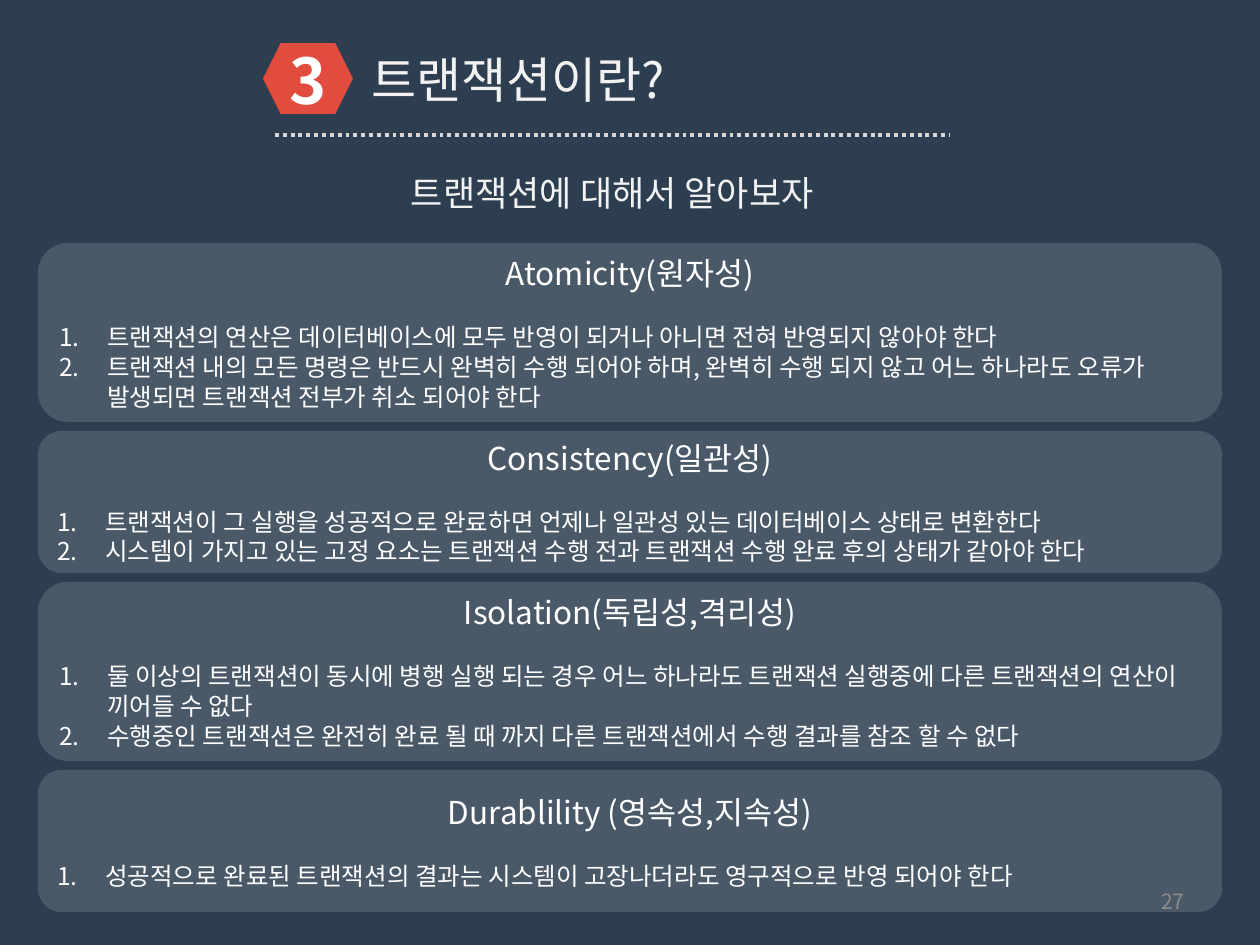
from dataclasses import dataclass
from typing import Any

from lxml.etree import SubElement
from pptx import Presentation
from pptx.dml.color import RGBColor
from pptx.enum.dml import MSO_LINE
from pptx.enum.shapes import MSO_CONNECTOR, MSO_SHAPE as Shape
from pptx.enum.text import MSO_ANCHOR as Anchor, PP_ALIGN as Align
from pptx.oxml.ns import qn
from pptx.util import Emu, Pt

EMU_PER_PX = 914400 / 126
SLIDE_SIZE = (1260, 945)
PANEL_LEFT, PANEL_TOP, PANEL_WIDTH, PANEL_GAP = 38, 243, 1184, 9
LIST_INDENT = 48


@dataclass(frozen=True)
class TextStyle:
    size: int
    color: str
    line_height: int
    bold: bool = False


@dataclass(frozen=True)
class Theme:
    font: str = "Noto Sans CJK KR"
    background: str = "2D3E50"
    badge: str = "E24C3F"
    rule: str = "D9D9D9"
    panel: str = "FFFFFF"
    panel_opacity: int = 14
    number: TextStyle = TextStyle(36, "FFFFFF", 44, True)
    title: TextStyle = TextStyle(28, "F2F2F2", 34)
    subtitle: TextStyle = TextStyle(20, "F2F2F2", 24)
    heading: TextStyle = TextStyle(18, "FFFFFF", 22)
    item: TextStyle = TextStyle(14, "FFFFFF", 17)
    page: TextStyle = TextStyle(12, "8C8C8C", 15)


@dataclass(frozen=True)
class Panel:
    heading: str
    items: tuple[str, ...]
    height: int


@dataclass(frozen=True)
class Label:
    text: str
    box: tuple[int, int, int, int]
    style: TextStyle
    align: Align
    anchor: Anchor = Anchor.TOP


THEME = Theme()

LABELS = (
    Label("트랜잭션이란?", (359, 43, 665, 72), THEME.title, Align.LEFT),
    Label("트랜잭션에 대해서 알아보자", (280, 165, 665, 55), THEME.subtitle, Align.CENTER),
)
PAGE_NUMBER = Label("27", (903, 876, 294, 50), THEME.page, Align.RIGHT, Anchor.MIDDLE)

PANELS = (
    Panel("Atomicity(원자성)", (
        "트랜잭션의 연산은 데이터베이스에 모두 반영이 되거나 아니면 전혀 반영되지 않아야 한다",
        "트랜잭션 내의 모든 명령은 반드시 완벽히 수행 되어야 하며, 완벽히 수행 되지 않고 "
        "어느 하나라도 오류가 발생되면 트랜잭션 전부가 취소 되어야 한다",
    ), 179),
    Panel("Consistency(일관성)", (
        "트랜잭션이 그 실행을 성공적으로 완료하면 언제나 일관성 있는 데이터베이스 상태로 변환한다",
        "시스템이 가지고 있는 고정 요소는 트랜잭션 수행 전과 트랜잭션 수행 완료 후의 상태가 같아야 한다",
    ), 142),
    Panel("Isolation(독립성,격리성)", (
        "둘 이상의 트랜잭션이 동시에 병행 실행 되는 경우 어느 하나라도 트랜잭션 실행중에 "
        "다른 트랜잭션의 연산이 끼어들 수 없다",
        "수행중인 트랜잭션은 완전히 완료 될 때 까지 다른 트랜잭션에서 수행 결과를 참조 할 수 없다",
    ), 179),
    Panel("Durablility (영속성,지속성)", (
        "성공적으로 완료된 트랜잭션의 결과는 시스템이 고장나더라도 영구적으로 반영 되어야 한다",
    ), 142),
)


def px(length: int) -> Emu:
    return Emu(round(length * EMU_PER_PX))


def rgb(color: str) -> RGBColor:
    return RGBColor.from_string(color)


def apply(target: Any, values: dict[str, Any]) -> None:
    for name, value in values.items():
        setattr(target, name, value)


def write(paragraph: Any, text: str, style: TextStyle, align: Align) -> None:
    run = paragraph.add_run()
    run.text = text
    apply(paragraph, {"alignment": align, "line_spacing": Pt(style.line_height)})
    apply(run.font, {"name": THEME.font, "size": Pt(style.size), "bold": style.bold})
    run.font.color.rgb = rgb(style.color)
    SubElement(run.font._element, qn("a:ea"), typeface=THEME.font)


def number_paragraph(paragraph: Any) -> None:
    properties = paragraph._p.get_or_add_pPr()
    properties.set("marL", str(px(LIST_INDENT)))
    properties.set("indent", str(-px(LIST_INDENT)))
    SubElement(properties, qn("a:buFont"), typeface="+mj-lt")
    SubElement(properties, qn("a:buAutoNum"), type="arabicPeriod")


def add_block(slide: Any, kind: Shape, box: tuple[int, int, int, int], color: str) -> Any:
    """Add a flat filled shape without outline or shadow."""
    shape = slide.shapes.add_shape(kind, *map(px, box))
    shape.shadow.inherit = False
    shape.fill.solid()
    shape.fill.fore_color.rgb = rgb(color)
    shape.line.fill.background()
    shape.text_frame.vertical_anchor = Anchor.MIDDLE
    return shape


def add_panel(slide: Any, panel: Panel, top: int) -> None:
    box = (PANEL_LEFT, top, PANEL_WIDTH, panel.height)
    shape = add_block(slide, Shape.ROUNDED_RECTANGLE, box, THEME.panel)
    fill_color = shape._element.spPr.find(qn("a:solidFill"))[0]
    SubElement(fill_color, qn("a:alpha"), val=str(THEME.panel_opacity * 1000))

    frame = shape.text_frame
    frame.word_wrap = True
    heading = frame.paragraphs[0]
    write(heading, panel.heading, THEME.heading, Align.CENTER)
    heading.space_after = Pt(THEME.item.line_height)
    for item in panel.items:
        paragraph = frame.add_paragraph()
        write(paragraph, item, THEME.item, Align.LEFT)
        number_paragraph(paragraph)


def add_badge(slide: Any) -> None:
    badge = add_block(slide, Shape.HEXAGON, (263, 43, 90, 71), THEME.badge)
    badge.text_frame.word_wrap = False
    write(badge.text_frame.paragraphs[0], "3", THEME.number, Align.CENTER)


def add_label(slide: Any, label: Label) -> None:
    frame = slide.shapes.add_textbox(*map(px, label.box)).text_frame
    apply(frame, {"word_wrap": True, "vertical_anchor": label.anchor})
    write(frame.paragraphs[0], label.text, label.style, label.align)


def add_dotted_rule(slide: Any) -> None:
    ends = map(px, (275, 135, 950, 135))
    rule = slide.shapes.add_connector(MSO_CONNECTOR.STRAIGHT, *ends)
    apply(rule.line, {"width": Pt(2.25), "dash_style": MSO_LINE.ROUND_DOT})
    rule.line.color.rgb = rgb(THEME.rule)
    SubElement(rule._element.spPr, qn("a:effectLst"))


def main() -> None:
    presentation = Presentation()
    width, height = map(px, SLIDE_SIZE)
    apply(presentation, {"slide_width": width, "slide_height": height})
    slide = presentation.slides.add_slide(presentation.slide_layouts[6])
    slide.background.fill.solid()
    slide.background.fill.fore_color.rgb = rgb(THEME.background)

    add_badge(slide)
    add_dotted_rule(slide)
    for label in LABELS:
        add_label(slide, label)
    top = PANEL_TOP
    for panel in PANELS:
        add_panel(slide, panel, top)
        top += panel.height + PANEL_GAP
    add_label(slide, PAGE_NUMBER)
    presentation.save("out.pptx")


if __name__ == "__main__":
    main()
